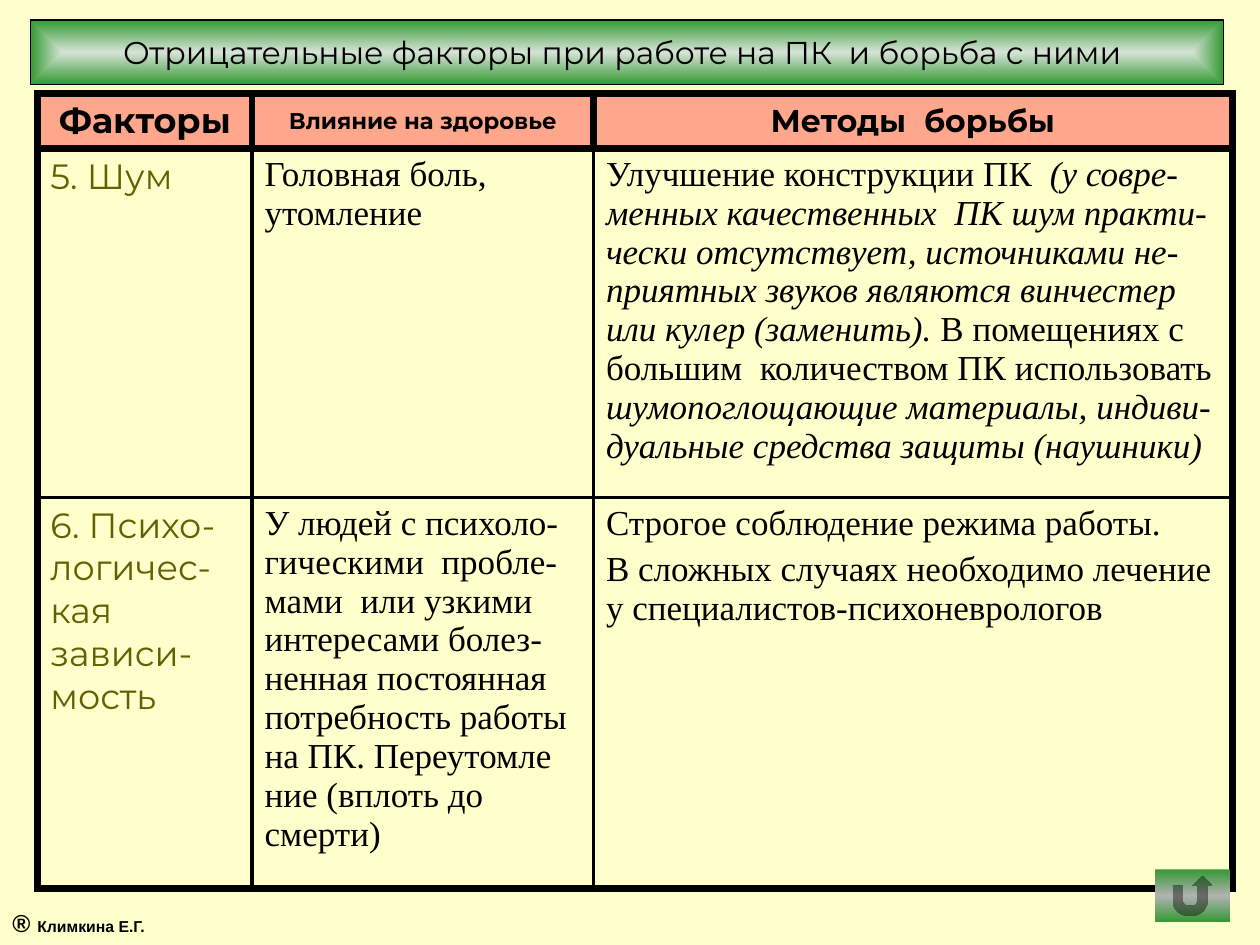
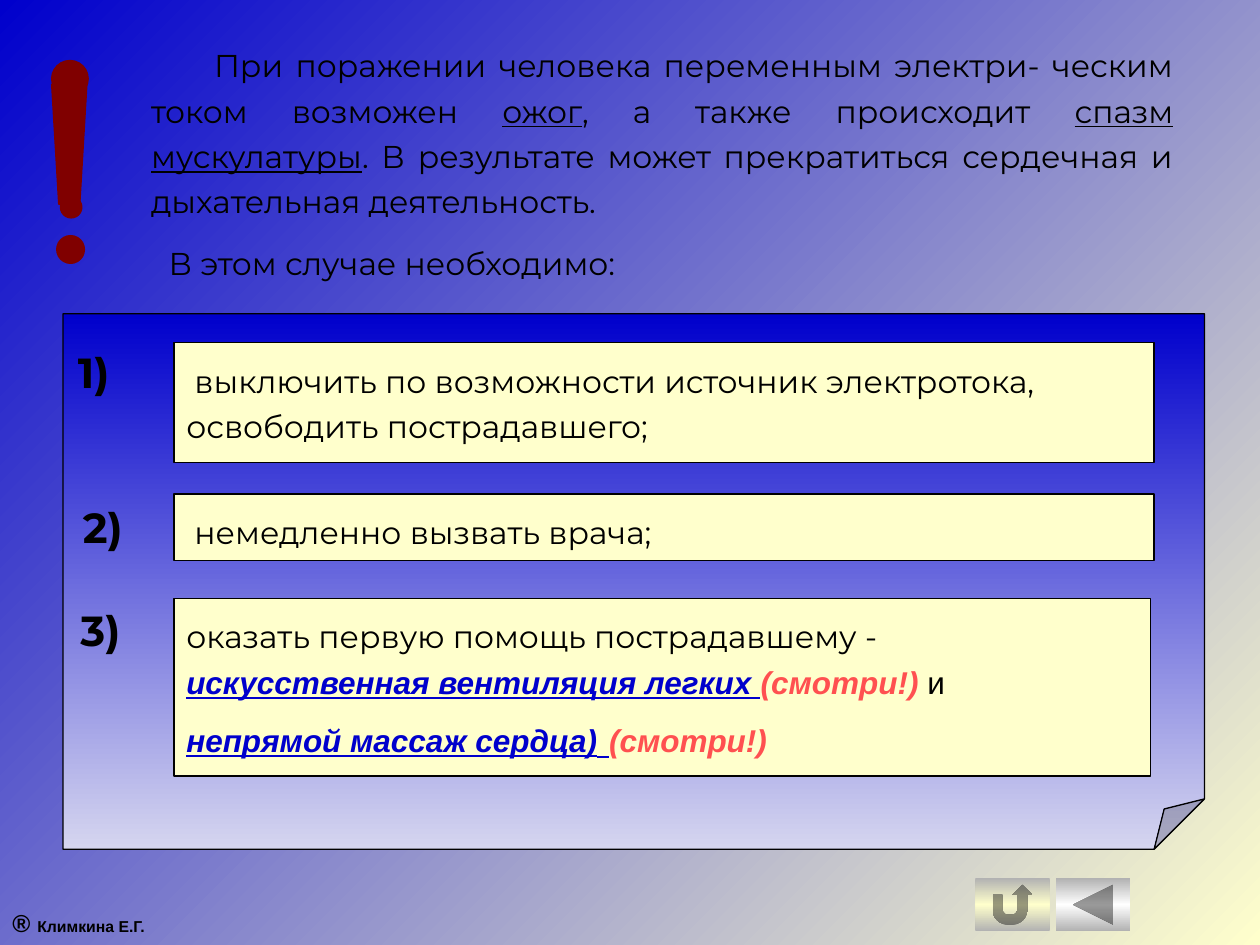
from lxml import etree
from pptx import Presentation
from pptx.dml.color import RGBColor
from pptx.enum.shapes import MSO_SHAPE
from pptx.enum.text import MSO_ANCHOR, MSO_AUTO_SIZE, PP_ALIGN
from pptx.oxml import parse_xml
from pptx.oxml.ns import nsdecls, qn
from pptx.util import Inches, Pt

RECTANGLE, OVAL = MSO_SHAPE.RECTANGLE, MSO_SHAPE.OVAL
FOLDED_CORNER = MSO_SHAPE.FOLDED_CORNER
TRAPEZOID = MSO_SHAPE.FLOWCHART_MANUAL_OPERATION
RETURN_BUTTON = MSO_SHAPE.ACTION_BUTTON_RETURN
BACK_BUTTON = MSO_SHAPE.ACTION_BUTTON_BACK_OR_PREVIOUS
TOP, MIDDLE = MSO_ANCHOR.TOP, MSO_ANCHOR.MIDDLE
LEFT, CENTER, JUSTIFY = PP_ALIGN.LEFT, PP_ALIGN.CENTER, PP_ALIGN.JUSTIFY
NO_AUTOFIT = MSO_AUTO_SIZE.NONE

BLACK, CREAM, BLUE = "000000", "FFFFCC", "0000CC"
GREEN, GREY, CORAL = "339933", "B2B2B2", "FF5050"
MAROON, OLIVE = "800000", "626000"
SANS, SERIF, ARIAL = "Montserrat", "Times New Roman", "Arial"


def write(paragraph, text, size=18, font=SANS, color=BLACK, style=""):
    """Add one run; style holds any of the letters b, i and u."""
    run = paragraph.add_run()
    run.text = text
    run.font.size = Pt(size)
    run.font.name = font
    run.font.color.rgb = RGBColor.from_string(color)
    run.font.bold = "b" in style
    run.font.italic = "i" in style
    run.font.underline = "u" in style


def set_gradient(owner, fill, colors, angle=None):
    """Spread colors evenly along angle, or outwards from the centre without one."""
    fill.gradient()
    gradient = owner.element.find(".//" + qn("a:gradFill"))
    for child in list(gradient):
        gradient.remove(child)
    stops = etree.SubElement(gradient, qn("a:gsLst"))
    for index, color in enumerate(colors):
        position = 100000 * index // (len(colors) - 1)
        stop = etree.SubElement(stops, qn("a:gs"), pos=str(position))
        etree.SubElement(stop, qn("a:srgbClr"), val=color)
    if angle is None:
        centre = etree.SubElement(gradient, qn("a:path"), path="shape")
        etree.SubElement(centre, qn("a:fillToRect"), l="50000", t="50000", r="50000", b="50000")
    else:
        etree.SubElement(gradient, qn("a:lin"), ang=str(angle * 60000), scaled="0")


presentation = Presentation()
presentation.slide_width = Inches(10)
presentation.slide_height = Inches(7.5)
factors_slide = presentation.slides.add_slide(presentation.slide_layouts[5])
first_aid_slide = presentation.slides.add_slide(presentation.slide_layouts[6])

# Backgrounds
factors_slide.background.fill.solid()
factors_slide.background.fill.fore_color.rgb = RGBColor.from_string(CREAM)
set_gradient(first_aid_slide, first_aid_slide.background.fill, [BLUE, CREAM], 45)

# Title band
title = factors_slide.shapes.title
title.left, title.top, title.width, title.height = map(Inches, (0.24, 0.16, 9.47, 0.51))
set_gradient(title, title.fill, ["D6E3D6", GREEN])
title.line.color.rgb = RGBColor.from_string(BLACK)
title.line.width = Pt(0.75)
frame = title.text_frame
frame.auto_size = NO_AUTOFIT
frame.vertical_anchor = MIDDLE
frame.margin_right = Inches(0.17)
frame.paragraphs[0].alignment = CENTER
write(frame.paragraphs[0], "Отрицательные факторы при работе на ПК  и борьба с ними")

# Table: each cell is a list of paragraphs, each paragraph a list of runs
rows = [
    [
        [[("Факторы", 20, SANS, BLACK, "b")]],
        [[("Влияние на здоровье", 13, SANS, BLACK, "b")]],
        [[("Методы  борьбы", 18, SANS, BLACK, "b")]],
    ],
    [
        [[("5. Шум", 20, SANS, OLIVE)]],
        [[("Головная боль, утомление", 20, SERIF)]],
        [[
            ("Улучшение конструкции ПК  ", 20, SERIF),
            ("(у совре- менных качественных  ПК шум практи- чески отсутствует, "
             "источниками не- приятных звуков являются винчестер или кулер "
             "(заменить).", 20, SERIF, BLACK, "i"),
            (" В помещениях с большим  количеством ПК использовать ", 20, SERIF),
            ("шумопоглощающие материалы, индиви- дуальные средства защиты "
             "(наушники)", 20, SERIF, BLACK, "i"),
        ]],
    ],
    [
        [[("6. Психо-логичес-кая зависи-мость", 20, SANS, OLIVE)]],
        [[("У людей с психоло- гическими  пробле- мами  или узкими интересами "
           "болез- ненная постоянная потребность работы на ПК. Переутомле ние "
           "(вплоть до смерти)", 20, SERIF)]],
        [
            [("Строгое соблюдение режима работы.", 20, SERIF)],
            [("В сложных случаях необходимо лечение у "
              "специалистов-психоневрологов", 20, SERIF)],
        ],
    ],
]
table = factors_slide.shapes.add_table(
    3, 3, Inches(0.3), Inches(0.74), Inches(9.48), Inches(6.3)).table
table.first_row = False
table.horz_banding = False
for column, width in zip(table.columns, (1.7, 2.71, 5.07)):
    column.width = Inches(width)
for row, height in zip(table.rows, (0.43, 2.77, 3.1)):
    row.height = Inches(height)

for row_index, row in enumerate(rows):
    for column_index, paragraphs in enumerate(row):
        cell = table.cell(row_index, column_index)
        is_header = row_index == 0
        cell.vertical_anchor = MIDDLE if is_header else TOP
        if is_header:
            cell.fill.solid()
            cell.fill.fore_color.rgb = RGBColor.from_string(CORAL)
            color_element = cell._tc.tcPr.find(".//" + qn("a:srgbClr"))
            etree.SubElement(color_element, qn("a:alpha"), val="50000")
        else:
            cell.fill.background()
        thick_sides = {
            "L": is_header or column_index == 0,
            "R": is_header or column_index == 2,
            "T": row_index < 2,
            "B": row_index != 1,
        }
        for position, (side, is_thick) in enumerate(thick_sides.items()):
            width = Pt(4.5 if is_thick else 2.25)
            cell._tc.tcPr.insert(position, parse_xml(
                f'<a:ln{side} {nsdecls("a")} w="{width}"><a:solidFill>'
                f'<a:srgbClr val="{BLACK}"/></a:solidFill></a:ln{side}>'))
        for index, runs in enumerate(paragraphs):
            frame = cell.text_frame
            paragraph = frame.add_paragraph() if index else frame.paragraphs[0]
            paragraph.alignment = CENTER if is_header else LEFT
            paragraph.space_before = Pt(4)
            for run in runs:
                write(paragraph, *run)

# Shapes: slide, preset, box, fill (a list is a vertical gradient), line, runs
emphasis = (18, ARIAL, BLUE, "biu")
look = ("(смотри!)", 18, ARIAL, CORAL, "bi")
button_size = (0.59, 0.42)
shapes = [
    (factors_slide, RETURN_BUTTON, (9.17, 6.9, *button_size), [GREEN, GREY, GREEN], None, []),
    (first_aid_slide, FOLDED_CORNER, (0.5, 2.49, 9.06, 4.25), [BLUE, "D5D5EF"], BLACK, []),
    (first_aid_slide, RECTANGLE, (1.38, 2.72, 7.78, 0.95), CREAM, BLACK,
     [(" выключить по возможности источник электротока, освободить пострадавшего;",)]),
    (first_aid_slide, RECTANGLE, (1.38, 3.92, 7.78, 0.53), CREAM, BLACK,
     [(" немедленно вызвать врача;",)]),
    (first_aid_slide, RECTANGLE, (1.38, 4.75, 7.75, 1.41), CREAM, BLACK,
     [("оказать первую помощь пострадавшему -\v",),
      ("искусственная вентиляция легких ", *emphasis), look,
      (" и\v", 18, ARIAL),
      ("непрямой массаж сердца)", *emphasis),
      (" ", 24, ARIAL, BLUE, "biu"), look]),
    (first_aid_slide, OVAL, (0.45, 1.87, 0.22, 0.22), MAROON, MAROON, []),
    (first_aid_slide, TRAPEZOID, (0.41, 0.67, 0.28, 0.95), MAROON, MAROON, []),
    (first_aid_slide, OVAL, (0.41, 0.48, 0.29, 0.29), MAROON, MAROON, []),
    (first_aid_slide, OVAL, (0.48, 1.56, 0.17, 0.17), MAROON, MAROON, []),
    (first_aid_slide, RETURN_BUTTON, (7.74, 6.97, *button_size), [GREY, CREAM, GREY], None, []),
    (first_aid_slide, BACK_BUTTON, (8.38, 6.97, *button_size), [GREY, "FFFFFF", GREY], None, []),
]
for slide, preset, box, fill, line, runs in shapes:
    shape = slide.shapes.add_shape(preset, *map(Inches, box))
    shape.shadow.inherit = False
    if preset == FOLDED_CORNER:
        fold = shape.element.spPr.find(qn("a:prstGeom")).get_or_add_avLst()
        etree.SubElement(fold, qn("a:gd"), name="adj", fmla="val 9400")
    if isinstance(fill, list):
        set_gradient(shape, shape.fill, fill, 90)
    else:
        shape.fill.solid()
        shape.fill.fore_color.rgb = RGBColor.from_string(fill)
    if line:
        shape.line.color.rgb = RGBColor.from_string(line)
        shape.line.width = Pt(0.75)
    else:
        shape.line.fill.background()
    if runs:
        frame = shape.text_frame
        frame.vertical_anchor = TOP
        frame.margin_top = Inches(0.09)
        paragraph = frame.paragraphs[0]
        paragraph.alignment = LEFT
        paragraph.line_spacing = 1.2
        for text, *run_format in runs:
            write(paragraph, text.rstrip("\v"), *run_format)
            if text.endswith("\v"):
                paragraph.add_line_break()

# Text boxes: slide, box, alignment, line spacing, paragraphs as (indent, runs)
footer = [(0, [("® ", 14, ARIAL, BLACK, "b"), ("Климкина Е.Г.", 9, ARIAL, BLACK, "b")])]
warning = [
    (0.5, [
        ("При поражении человека переменным электри- ческим током возможен ",),
        ("ожог", 18, SANS, BLACK, "u"),
        (", а также происходит ",),
        ("спазм мускулатуры", 18, SANS, BLACK, "u"),
        (". В результате может прекратиться сердечная и дыхательная деятельность.",),
    ]),
    (0.14, [("В этом случае необходимо:",)]),
]
text_boxes = [(slide, (0, 7.16, 2.75, 0.33), JUSTIFY, 1, footer)
              for slide in (factors_slide, first_aid_slide)]
text_boxes.append((first_aid_slide, (1.1, 0.26, 8.31, 2.06), JUSTIFY, 1.2, warning))
for number, (left, top) in enumerate([(0.52, 2.7), (0.56, 3.93), (0.54, 4.75)], start=1):
    label = [(0, [(f"{number})", 24, SANS, BLACK, "b")])]
    text_boxes.append((first_aid_slide, (left, top, 0.8, 0.5), LEFT, 1, label))

for slide, box, alignment, line_spacing, paragraphs in text_boxes:
    frame = slide.shapes.add_textbox(*map(Inches, box)).text_frame
    frame.word_wrap = True
    for index, (indent, runs) in enumerate(paragraphs):
        paragraph = frame.add_paragraph() if index else frame.paragraphs[0]
        paragraph.alignment = alignment
        paragraph.line_spacing = line_spacing
        paragraph.space_before = Pt(9 if index else 0)
        if indent:
            paragraph._p.get_or_add_pPr().set("indent", str(Inches(indent)))
        for run in runs:
            write(paragraph, *run)

presentation.save("out.pptx")
